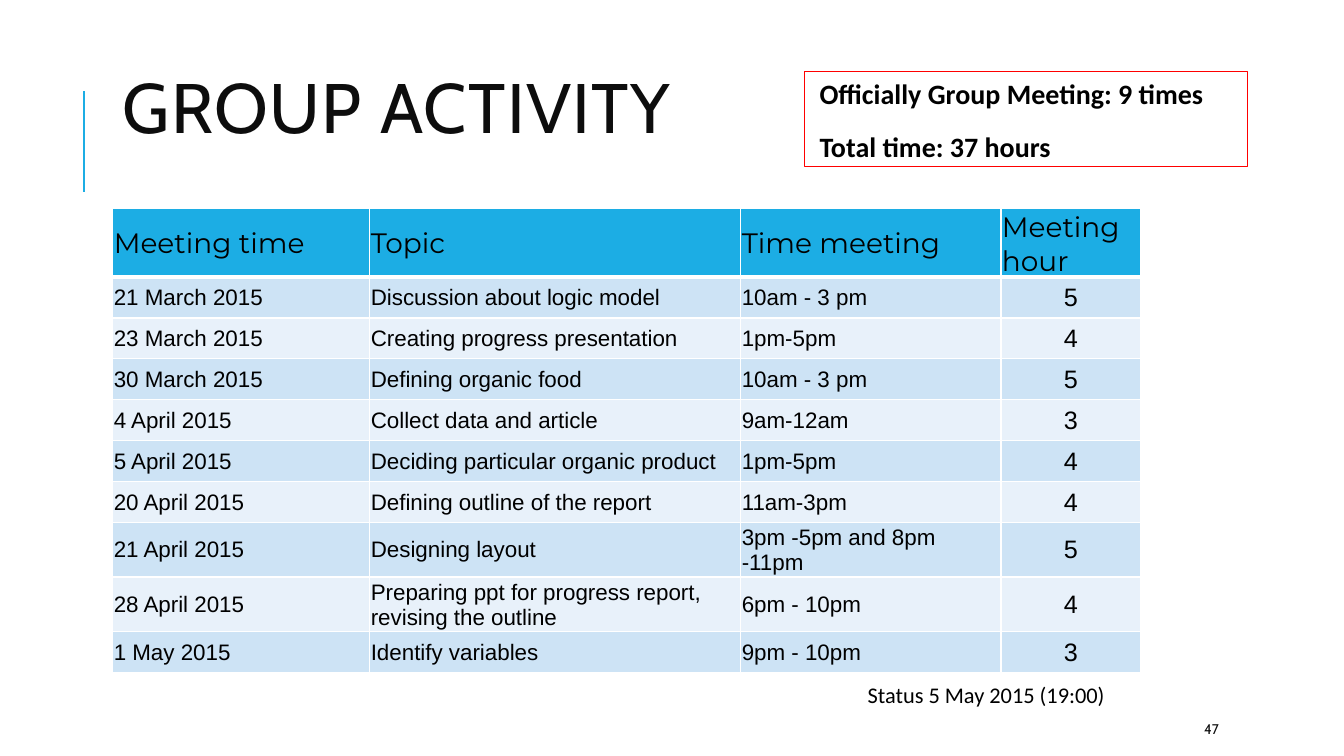
from lxml import etree
from pptx import Presentation
from pptx.dml.color import RGBColor
from pptx.enum import shapes, text
from pptx.oxml.ns import qn
from pptx.util import Pt

CYAN, WHITE, BLACK, INK, RED = "1CADE4", "FFFFFF", "000000", "0D0D0D", "FF0000"
BANDS = ["CDE3F5", "E8F1FA"]
HEADINGS = ["Meeting time", "Topic", "Time meeting", "Meeting hour"]
MEETINGS = [
    ["21 March 2015", "Discussion about logic model", "10am - 3 pm", "5"],
    ["23 March 2015", "Creating progress presentation", "1pm-5pm", "4"],
    ["30 March 2015", "Defining organic food", "10am - 3 pm", "5"],
    ["4 April 2015", "Collect data and article", "9am-12am", "3"],
    ["5 April 2015", "Deciding particular organic product", "1pm-5pm", "4"],
    ["20 April 2015", "Defining outline of the report", "11am-3pm", "4"],
    ["21 April 2015", "Designing layout", "3pm -5pm and 8pm -11pm", "5"],
    ["28 April 2015", "Preparing ppt for progress report, revising the outline", "6pm - 10pm", "4"],
    ["1 May 2015", "Identify variables", "9pm - 10pm", "3"],
]
COLUMN_WIDTHS = [183.6, 265, 185.8, 100]
HEADER_HEIGHT, ROW_HEIGHT, TALL_HEIGHT = 48.6, 29.2, 36.4
TALL_ROWS = (7, 8)


def color(hex_code):
    """Turn a hex string into a colour."""
    return RGBColor.from_string(hex_code)


def style(paragraph, font_name, size, hex_code, bold=False):
    """Format the runs of a paragraph."""
    for run in paragraph.runs:
        run.font.name = font_name
        run.font.size = Pt(size)
        run.font.bold = bold
        run.font.color.rgb = color(hex_code)


def indent(paragraph):
    """Set the left indent of a paragraph to 7.2 points."""
    paragraph._p.get_or_add_pPr().set("marL", str(Pt(7.2)))


def add_label(slide, box, wording, font_name, size, hex_code, wrap=True):
    """Add a one-paragraph text box and return its paragraph."""
    frame = slide.shapes.add_textbox(*map(Pt, box)).text_frame
    frame.word_wrap = wrap
    frame.vertical_anchor = text.MSO_ANCHOR.MIDDLE
    frame.text = wording
    style(frame.paragraphs[0], font_name, size, hex_code)
    return frame.paragraphs[0]


def add_heading(slide, left, top, width, height):
    """Draw the title with the accent rule to its left."""
    rule_x, rule_top = Pt(left - 20.6), top + 18.6
    rule = slide.shapes.add_connector(
        shapes.MSO_CONNECTOR.STRAIGHT, rule_x, Pt(rule_top + 72), rule_x, Pt(rule_top))
    rule.line.color.rgb = color(CYAN)
    rule.line.width = Pt(1.5)
    etree.SubElement(rule._element.spPr, qn("a:effectLst"))
    title = add_label(slide, (left, top, width, height), "GROUP ACTIVITY", "Cabin", 50, INK)
    title.line_spacing = 0.8
    title.runs[0].font._element.set("spc", "100")


def add_summary(slide, left, top, width, height):
    """Draw the outlined box with the meeting totals."""
    summary = slide.shapes.add_shape(
        shapes.MSO_SHAPE.RECTANGLE, *map(Pt, (left, top, width, height)))
    summary.shadow.inherit = False
    summary.fill.background()
    summary.line.color.rgb = color(RED)
    summary.line.width = Pt(0.75)
    frame = summary.text_frame
    frame.word_wrap = True
    frame.vertical_anchor = text.MSO_ANCHOR.TOP
    frame.margin_left = frame.margin_right = frame.margin_top = frame.margin_bottom = Pt(3.6)
    frame.text = "Officially Group Meeting: 9 times\nTotal time: 37 hours"
    for position, total in enumerate(frame.paragraphs):
        indent(total)
        total.alignment = text.PP_ALIGN.LEFT
        total.space_before = Pt(10 if position else 0)
        total.space_after = Pt(4)
        style(total, "Calibri", 20, BLACK, bold=True)


def add_borders(cell, top_width, bottom_width):
    """Give a cell white borders."""
    properties = cell._tc.get_or_add_tcPr()
    for side, width in (("L", 1), ("R", 1), ("T", top_width), ("B", bottom_width)):
        border = etree.SubElement(properties, qn(f"a:ln{side}"), w=str(Pt(width)))
        fill = etree.SubElement(border, qn("a:solidFill"))
        etree.SubElement(fill, qn("a:srgbClr"), val=WHITE)


def add_schedule(slide, left, top):
    """Draw the table of meetings."""
    entries = [HEADINGS] + MEETINGS
    heights = [HEADER_HEIGHT] + [
        TALL_HEIGHT if row in TALL_ROWS else ROW_HEIGHT for row in range(1, len(entries))]
    schedule = slide.shapes.add_table(
        len(entries), len(HEADINGS), Pt(left), Pt(top),
        Pt(sum(COLUMN_WIDTHS)), Pt(sum(heights))).table
    for column, width in zip(schedule.columns, COLUMN_WIDTHS):
        column.width = Pt(width)
    for row, (entry, height) in enumerate(zip(entries, heights)):
        schedule.rows[row].height = Pt(height)
        for column, wording in enumerate(entry):
            cell = schedule.cell(row, column)
            add_borders(cell, 3 if row == 1 else 1, 3 if row == 0 else 1)
            cell.fill.solid()
            cell.fill.fore_color.rgb = color(BANDS[(row - 1) % 2] if row else CYAN)
            cell.margin_left = cell.margin_right = cell.margin_top = Pt(0.7)
            cell.margin_bottom = 0
            cell.vertical_anchor = text.MSO_ANCHOR.MIDDLE
            cell.text = wording
            paragraph = cell.text_frame.paragraphs[0]
            is_hours = column == len(HEADINGS) - 1
            if row == 0:
                style(paragraph, "Montserrat", 20, BLACK)
            else:
                style(paragraph, "Arial", 18 if is_hours else 16, BLACK)
                if is_hours:
                    paragraph.alignment = text.PP_ALIGN.CENTER


def add_footer(slide, left, top):
    """Draw the status line and the slide number."""
    status = add_label(slide, (left, top, 200, 26.6), "Status 5 May 2015 (19:00)",
                       "Calibri", 16, BLACK, wrap=False)
    indent(status)
    add_label(slide, (left + 247.6, top + 26.6, 76.3, 21.6), "47", "Cabin", 10, INK)


def main():
    """Build the slide and save it."""
    deck = Presentation()
    deck.slide_width, deck.slide_height = Pt(960), Pt(540)
    slide = deck.slides.add_slide(deck.slide_layouts[6])
    add_heading(slide, 80.6, 46.2, 765.4, 69.8)
    add_schedule(slide, 80.6, 149.2)
    add_summary(slide, 574.6, 51.1, 316.8, 67.7)
    add_footer(slide, 605.5, 483.1)
    deck.save("out.pptx")


if __name__ == "__main__":
    main()
